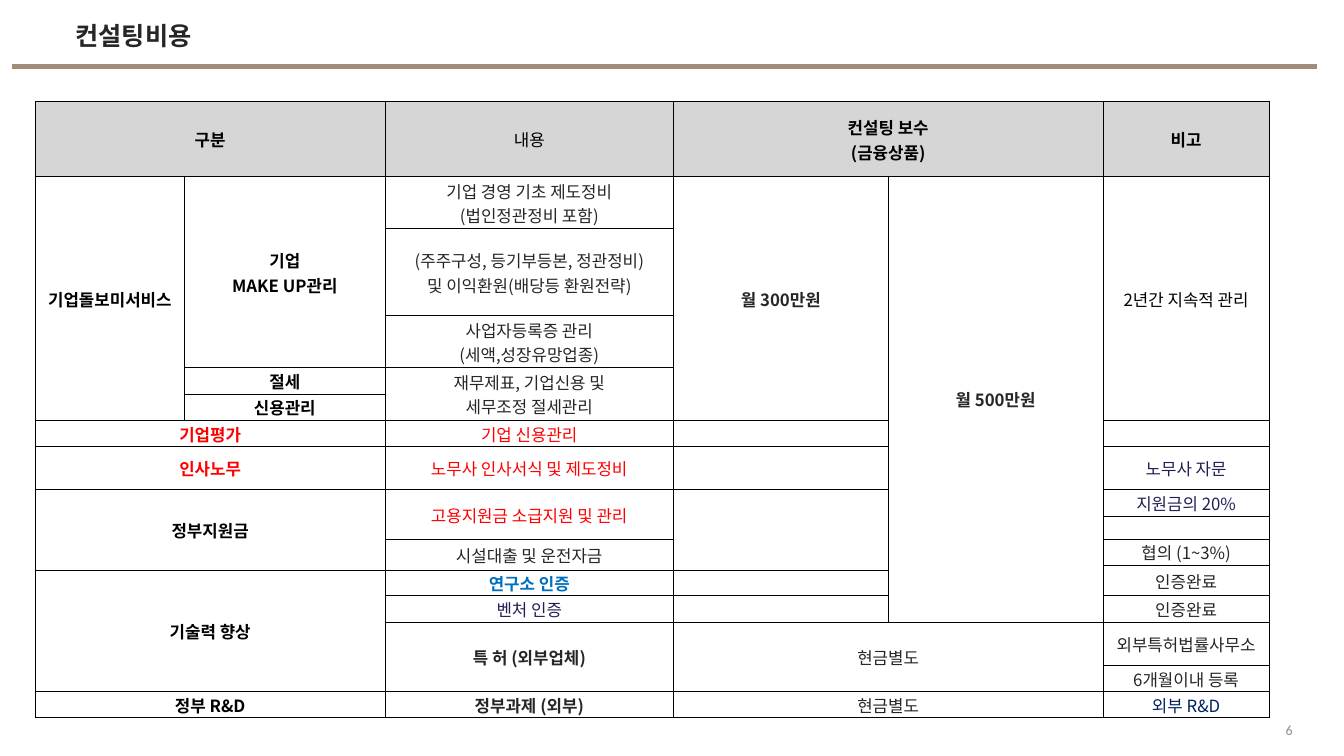
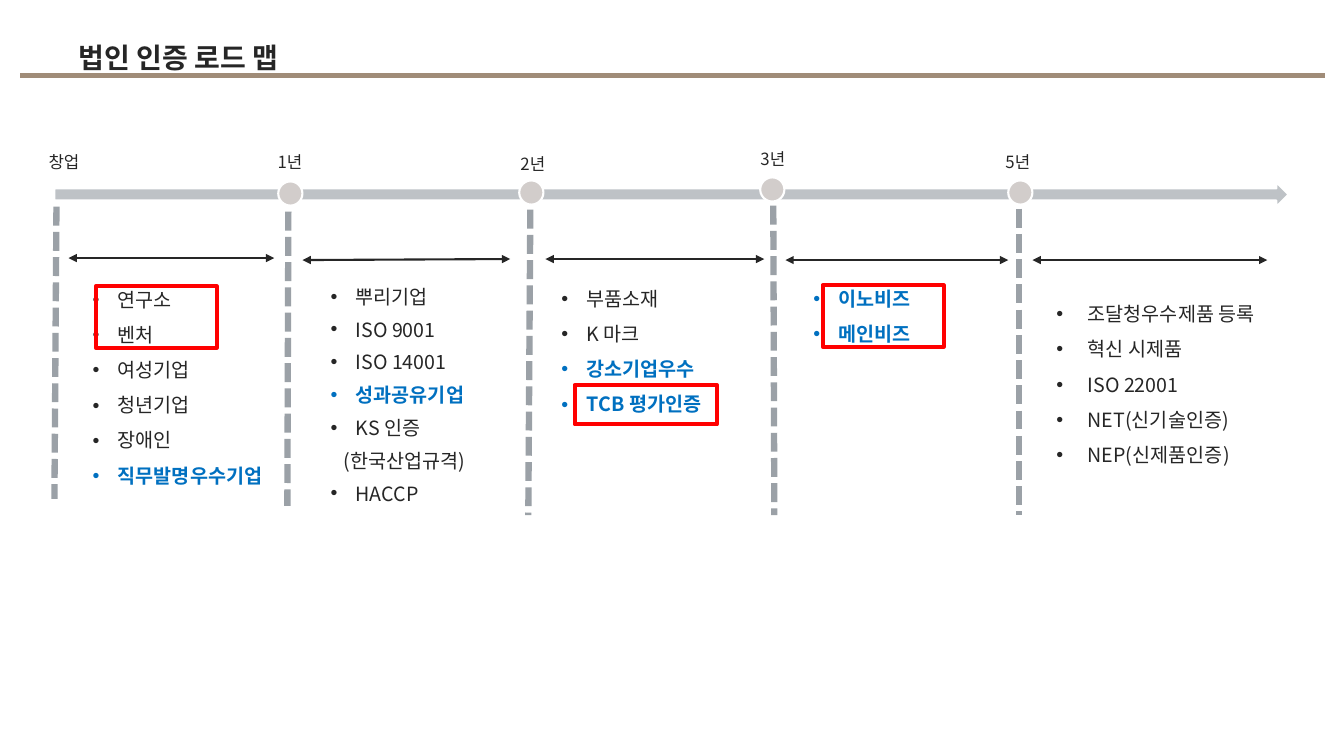
import lxml.etree
import pptx
import pptx.dml.color
import pptx.enum.dml
import pptx.enum.shapes
import pptx.enum.text
import pptx.oxml.ns
import pptx.util

Inches = pptx.util.Inches
Align = pptx.enum.text.PP_ALIGN
Anchor = pptx.enum.text.MSO_ANCHOR
Shape = pptx.enum.shapes.MSO_SHAPE
qn = pptx.oxml.ns.qn

FONT = "Noto Sans CJK KR"
INK, BLACK, WHITE, HEADER = "262626", "000000", "FFFFFF", "D6D6D6"
RED, BLUE, NAVY = "FF0000", "0070C0", "202056"
BAND, ARROW, DOT, DASH, PAGE = "A08C78", "BEC2C6", "D2CDCB", "9BA1A7", "8E8E8E"

COLUMNS = [1.48, 1.99, 2.86, 2.13, 2.13, 1.65]
ROWS = [0.74, 0.52, 0.86, 0.52, 0.26, 0.26, 0.26, 0.43, 0.26,
        0.23, 0.26, 0.05, 0.25, 0.26, 0.43, 0.26, 0.26]
CELLS = [
    (0, 0, 1, 2, "구분", BLACK, True),
    (0, 2, 1, 1, "내용", BLACK, False),
    (0, 3, 1, 2, "컨설팅 보수\v(금융상품)", BLACK, True),
    (0, 5, 1, 1, "비고", BLACK, True),
    (1, 0, 5, 1, "기업돌보미서비스", BLACK, True),
    (1, 1, 3, 1, "기업\vMAKE UP관리", BLACK, True),
    (1, 2, 1, 1, "기업 경영 기초 제도정비\v(법인정관정비 포함)", INK, False),
    (1, 3, 5, 1, "월 300만원", INK, True),
    (1, 4, 13, 1, "월 500만원", INK, True),
    (1, 5, 5, 1, "2년간 지속적 관리", BLACK, False),
    (2, 2, 1, 1, "(주주구성, 등기부등본, 정관정비)\v및 이익환원(배당등 환원전략)", INK, False),
    (3, 2, 1, 1, "사업자등록증 관리\v(세액,성장유망업종)", INK, False),
    (4, 1, 1, 1, "절세", BLACK, True),
    (4, 2, 2, 1, "재무제표, 기업신용 및\v세무조정 절세관리", INK, False),
    (5, 1, 1, 1, "신용관리", BLACK, True),
    (6, 0, 1, 2, "기업평가", RED, True),
    (6, 2, 1, 1, "기업 신용관리", RED, False),
    (7, 0, 1, 2, "인사노무", RED, True),
    (7, 2, 1, 1, "노무사 인사서식 및 제도정비", RED, False),
    (7, 5, 1, 1, "노무사 자문", NAVY, False),
    (8, 0, 4, 2, "정부지원금", BLACK, True),
    (8, 2, 2, 1, "고용지원금 소급지원 및 관리", RED, False),
    (8, 3, 4, 1, "", INK, False),
    (8, 5, 1, 1, "지원금의 20%", NAVY, False),
    (10, 2, 2, 1, "시설대출 및 운전자금", INK, False),
    (10, 5, 1, 1, "협의 (1~3%)", INK, False),
    (11, 5, 2, 1, "인증완료", INK, False),
    (12, 0, 4, 2, "기술력 향상", BLACK, True),
    (12, 2, 1, 1, "연구소 인증", BLUE, True),
    (13, 2, 1, 1, "벤처 인증", NAVY, False),
    (13, 5, 1, 1, "인증완료", INK, False),
    (14, 2, 2, 1, "특 허 (외부업체)", INK, True),
    (14, 3, 2, 2, "현금별도", INK, False),
    (14, 5, 1, 1, "외부특허법률사무소", INK, False),
    (15, 5, 1, 1, "6개월이내 등록", INK, False),
    (16, 0, 1, 2, "정부 R&D", BLACK, True),
    (16, 2, 1, 1, "정부과제 (외부)", INK, True),
    (16, 3, 1, 2, "현금별도", INK, False),
    (16, 5, 1, 1, "외부 R&D", "002060", False),
]

MILESTONES = [("1년", 2.57, 1.48), ("2년", 4.98, 1.5), ("3년", 7.36, 1.45),
              ("5년", 9.79, 1.48), ("창업", 0.33, 1.48)]
DOTS = [(2.76, 1.8), (5.15, 1.79), (7.54, 1.76), (10, 1.79)]
DIVIDERS = [(0.56, 2.05, 0.54, 4.95), (2.86, 2.1, 2.85, 5.02), (5.26, 2.08, 5.24, 5.11),
            (7.67, 2.04, 7.68, 5.11), (10.11, 2.07, 10.11, 5.11)]
PERIODS = [(0.68, 2.56, 2.72, 2.56), (3, 2.58, 5.06, 2.57), (5.41, 2.57, 7.58, 2.57),
           (7.79, 2.58, 10, 2.58), (10.24, 2.58, 12.57, 2.58)]
CERTIFICATES = [
    ((0.82, 2.83, 2.17, 2.2), 0.9, 10, 0.25,
     ["연구소", "벤처", "여성기업", "청년기업", "장애인", "직무발명우수기업"]),
    ((3.18, 2.82, 2.17, 2.39), 0.8, 10, 0.25,
     ["뿌리기업", "ISO 9001", "ISO 14001", "성과공유기업", "KS 인증", "(한국산업규격)", "HACCP"]),
    ((5.47, 2.82, 1.96, 2.2), 0.9, 10, 0.25,
     ["부품소재", "K 마크", "강소기업우수", "TCB 평가인증"]),
    ((7.97, 2.82, 2.17, 2.2), 0.9, 10, 0.25, ["이노비즈", "메인비즈"]),
    ((10.38, 2.83, 2.4, 1.87), 1.5, 0, 0.31,
     ["조달청우수제품 등록", "혁신 시제품", "ISO 22001", "NET(신기술인증)", "NEP(신제품인증)"]),
]
KEY_CERTIFICATES = {"직무발명우수기업", "성과공유기업", "강소기업우수", "TCB 평가인증",
                    "이노비즈", "메인비즈"}
UNBULLETED = {"(한국산업규격)"}
HIGHLIGHTS = [(8.16, 2.83, 1.2, 0.61), (0.95, 2.84, 1.2, 0.61), (5.7, 3.82, 1.41, 0.39)]


def color(value):
    return pptx.dml.color.RGBColor.from_string(value)


def add_element(parent, tag, **attributes):
    return lxml.etree.SubElement(parent, qn(tag), attributes)


class Deck:
    """Hold the shared style and the current slide."""

    def __init__(self):
        self.presentation = pptx.Presentation()
        self.presentation.slide_width = Inches(13.33)
        self.presentation.slide_height = Inches(7.5)
        self.slide = None

    def start(self, title, box, size, band_left, band_top):
        self.slide = self.presentation.slides.add_slide(self.presentation.slide_layouts[5])
        shape = self.slide.shapes.title
        shape.left, shape.top, shape.width, shape.height = map(Inches, box)
        frame = shape.text_frame
        frame.text = title
        frame.auto_size = pptx.enum.text.MSO_AUTO_SIZE.NONE
        frame.vertical_anchor = Anchor.TOP
        self.style(frame.paragraphs[0], size, bold=True, align=Align.LEFT)
        self.line((band_left, band_top, band_left + 12.94, band_top), BAND, 3)

    def style(self, paragraph, size, fill=INK, bold=False, align=Align.LEFT, font=FONT):
        paragraph.alignment = align
        paragraph.font.size = pptx.util.Pt(size)
        paragraph.font.bold = bold
        paragraph.font.name = font
        paragraph.font.color.rgb = color(fill)
        defaults = paragraph._p.pPr.find(qn("a:defRPr"))
        add_element(defaults, "a:ea", typeface=FONT)

    def frame(self, box):
        frame = self.slide.shapes.add_textbox(*map(Inches, box)).text_frame
        frame.word_wrap = True
        return frame

    def text(self, box, text, size, fill=INK, align=Align.CENTER, font=FONT, spacing=1):
        frame = self.frame(box)
        frame.text = text
        frame.paragraphs[0].line_spacing = spacing
        self.style(frame.paragraphs[0], size, fill, align=align, font=font)
        return frame

    def bullets(self, box, spacing, gap, indent, items):
        frame = self.frame(box)
        for index, item in enumerate(items):
            paragraph = frame.add_paragraph() if index else frame.paragraphs[0]
            paragraph.text = item
            paragraph.line_spacing = spacing
            paragraph.space_before = pptx.util.Pt(gap if index else 0)
            properties = paragraph._p.get_or_add_pPr()
            if item in UNBULLETED:
                properties.set("marL", str(Inches(0.13)))
            else:
                properties.set("marL", str(Inches(indent)))
                properties.set("indent", str(-Inches(indent)))
                add_element(properties, "a:buFont", typeface="Arial")
                add_element(properties, "a:buChar", char="•")
            key = item in KEY_CERTIFICATES
            self.style(paragraph, 14, BLUE if key else INK, key)

    def shape(self, kind, box, fill, outline, width):
        shape = self.slide.shapes.add_shape(kind, *map(Inches, box))
        shape.shadow.inherit = False
        if fill:
            shape.fill.solid()
            shape.fill.fore_color.rgb = color(fill)
        else:
            shape.fill.background()
        shape.line.color.rgb = color(outline)
        shape.line.width = pptx.util.Pt(width)

    def line(self, ends, fill, width, dashed=False, arrows=False):
        connector = self.slide.shapes.add_connector(
            pptx.enum.shapes.MSO_CONNECTOR.STRAIGHT, *map(Inches, ends))
        connector.line.color.rgb = color(fill)
        connector.line.width = pptx.util.Pt(width)
        if dashed:
            connector.line.dash_style = pptx.enum.dml.MSO_LINE.SQUARE_DOT
        properties = connector._element.spPr
        if arrows:
            for tag in ("a:headEnd", "a:tailEnd"):
                add_element(properties.find(qn("a:ln")), tag, type="triangle")
        add_element(properties, "a:effectLst")

    def border(self, cell):
        properties = cell._tc.get_or_add_tcPr()
        for side in "LRTB":
            line = add_element(properties, f"a:ln{side}", w=str(pptx.util.Pt(0.5)))
            add_element(add_element(line, "a:solidFill"), "a:srgbClr", val=BLACK)

    def table(self, left, top, columns, rows, cells):
        table = self.slide.shapes.add_table(
            len(rows), len(columns), Inches(left), Inches(top),
            Inches(sum(columns)), Inches(sum(rows))).table
        table.first_row = table.horz_banding = False
        for column, width in zip(table.columns, columns):
            column.width = Inches(width)
        for index, (row, height) in enumerate(zip(table.rows, rows)):
            row.height = Inches(height)
            for cell in row.cells:
                self.border(cell)
                cell.margin_left = cell.margin_right = cell.margin_top = Inches(0.01)
                cell.margin_bottom = 0
                cell.vertical_anchor = Anchor.MIDDLE
                cell.fill.solid()
                cell.fill.fore_color.rgb = color(WHITE if index else HEADER)
                cell.text_frame.paragraphs[0].font.size = pptx.util.Pt(10)
        for row, column, height, width, text, fill, bold in cells:
            cell = table.cell(row, column)
            if height * width > 1:
                cell.merge(table.cell(row + height - 1, column + width - 1))
            if text:
                cell.text_frame.text = text
                self.style(cell.text_frame.paragraphs[0], 12, fill, bold, Align.CENTER)


def build_fees(deck):
    deck.start("컨설팅비용", (0.65, 0.15, 2.65, 0.4), 18, 0.12, 0.66)
    deck.table(0.35, 1.01, COLUMNS, ROWS, CELLS)
    page = deck.text((12.25, 7.17, 0.67, 0.14), "6", 10, PAGE, Align.RIGHT, "Calibri")
    page.vertical_anchor = Anchor.MIDDLE


def build_roadmap(deck):
    deck.start("법인 인증 로드 맵", (0.68, 0.35, 5, 0.44), 20, 0.2, 0.75)
    deck.shape(Shape.RIGHT_ARROW, (0.54, 1.81, 12.24, 0.24), ARROW, WHITE, 1.5)
    for left, top in DOTS:
        deck.shape(Shape.OVAL, (left, top, 0.24, 0.24), DOT, WHITE, 1.5)
    for label, left, top in MILESTONES:
        deck.text((left, top, 0.61, 0.38), label, 12, spacing=0.9)
    for ends in DIVIDERS:
        deck.line(ends, DASH, 4.5, dashed=True)
    for ends in PERIODS:
        deck.line(ends, INK, 1.5, arrows=True)
    for group in CERTIFICATES:
        deck.bullets(*group)
    for box in HIGHLIGHTS:
        deck.shape(Shape.RECTANGLE, box, None, RED, 3)


def main():
    deck = Deck()
    build_fees(deck)
    build_roadmap(deck)
    deck.presentation.save("out.pptx")


if __name__ == "__main__":
    main()
